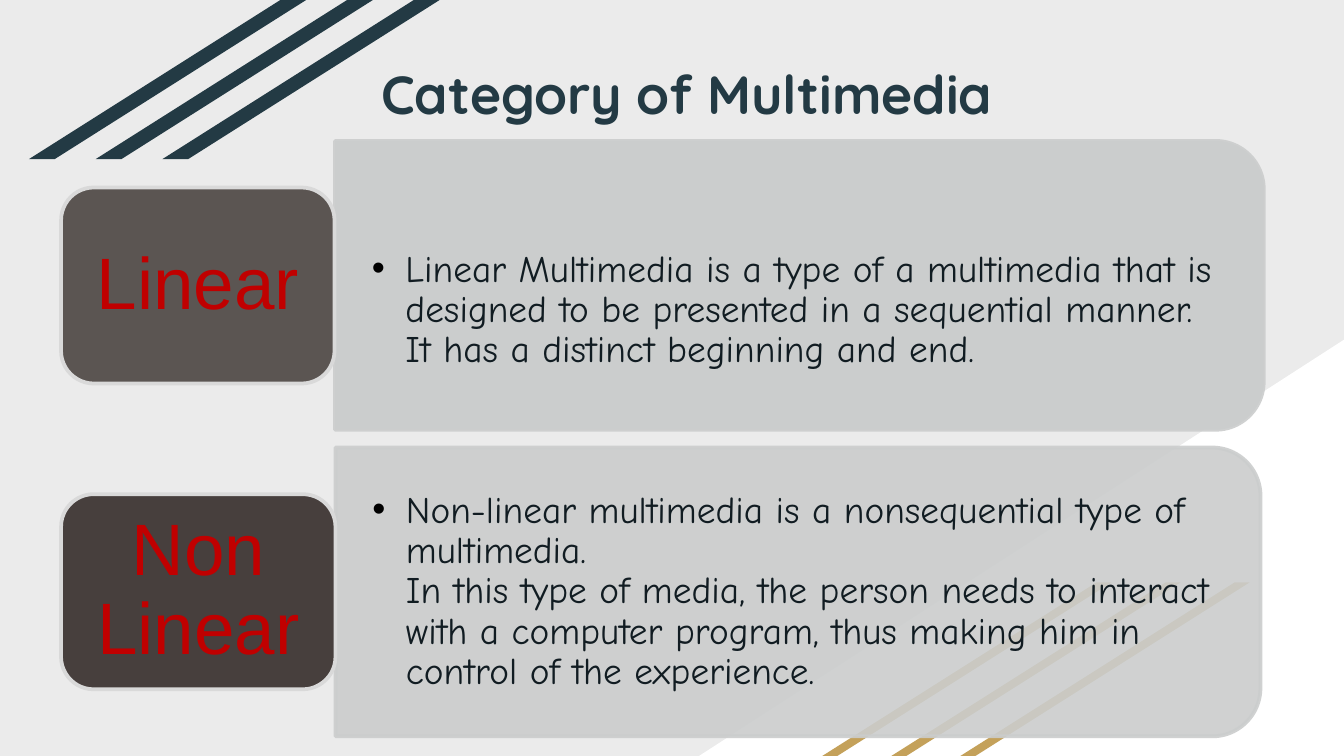
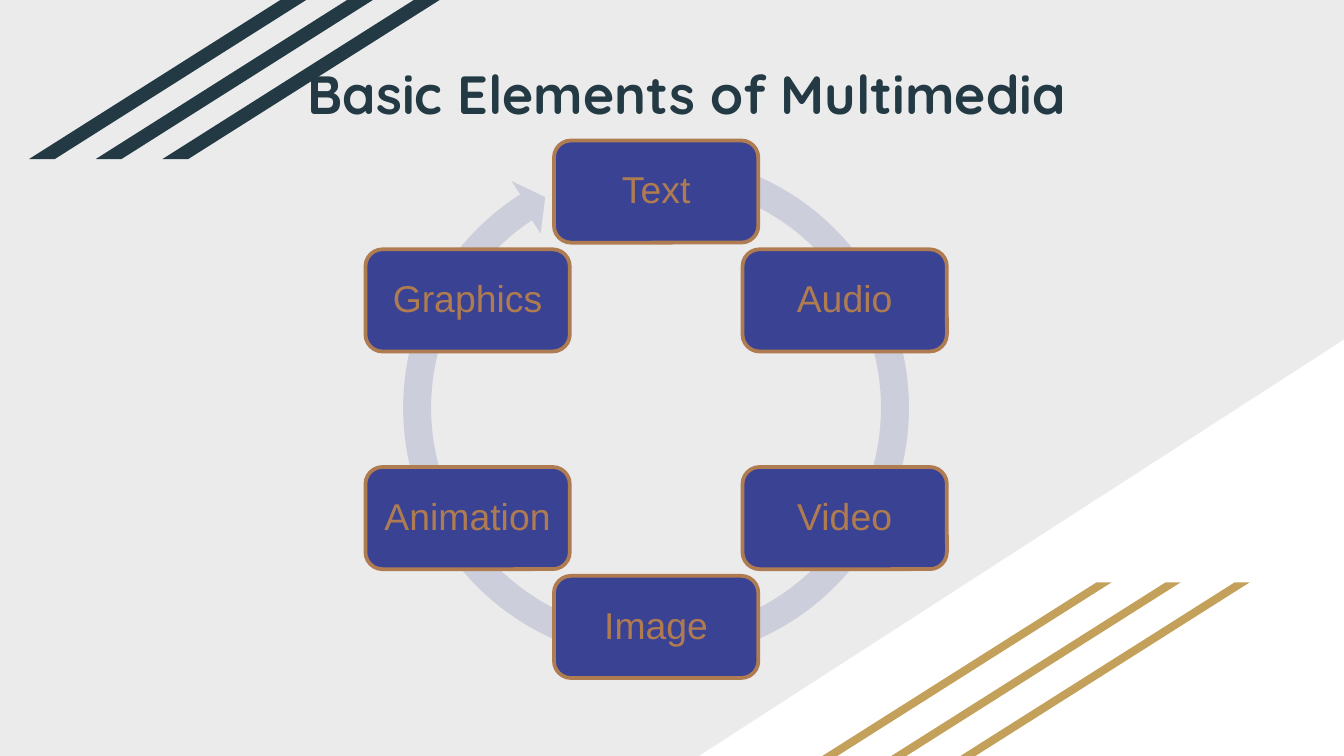
"""Build two slides on the categories and basic elements of multimedia."""
import math

import pptx
import pptx.dml.color
import pptx.enum.shapes
import pptx.enum.text
import pptx.oxml.ns
import pptx.util
from lxml import etree

Pt = pptx.util.Pt
RGB = pptx.dml.color.RGBColor
SHAPE = pptx.enum.shapes.MSO_SHAPE
CENTER = pptx.enum.text.PP_ALIGN.CENTER
MIDDLE = pptx.enum.text.MSO_ANCHOR.MIDDLE
qn = pptx.oxml.ns.qn

BACKGROUND = RGB(0xEB, 0xEB, 0xEB)
WHITE = RGB(0xFF, 0xFF, 0xFF)
GOLD = RGB(0xC4, 0xA1, 0x5A)
NAVY = RGB(0x23, 0x3A, 0x44)
PANEL = RGB(0xCB, 0xCD, 0xCD)
PANEL_TEXT = RGB(0x11, 0x1C, 0x22)
LABEL_LINE = RGB(0xD9, 0xD9, 0xD9)
LABEL_TEXT = RGB(0xC0, 0x00, 0x00)
LINEAR_FILL = RGB(0x42, 0x3B, 0x38)
NON_LINEAR_FILL = RGB(0x44, 0x3C, 0x3A)
RING = RGB(0xCD, 0xCE, 0xDB)
NODE = RGB(0x3A, 0x42, 0x94)
COPPER = RGB(0xAF, 0x7B, 0x51)

CATEGORIES = [
    ("Linear", (32.75, 100.5, 146.5, 105), LINEAR_FILL, 85,
     (179.5, 75.5, 497.5, 154.75), 100, 27,
     ["Linear Multimedia is a type of a multimedia that is designed to be "
      "presented in a sequential manner. It has a distinct beginning and end."]),
    ("Non Linear", (32.75, 264.75, 147, 104.5), NON_LINEAR_FILL, 98,
     (179.75, 239.75, 495.5, 154.75), 90, 0,
     ["Non-linear multimedia is a nonsequential type of multimedia.",
      "In this type of media, the person needs to interact with a computer "
      "program, thus making him in control of the experience."]),
]
ELEMENTS = ["Text", "Audio", "Video", "Image", "Animation", "Graphics"]


def set_alpha(shape, query, percent):
    """Make the colour found by the query partly transparent."""
    for color in shape._element.spPr.xpath(query):
        etree.SubElement(color, qn("a:alpha")).set("val", str(percent * 1000))


def paint(shape, fill, line=None, alpha=100):
    """Give a shape its flat fill and its outline."""
    shape.shadow.inherit = False
    shape.fill.solid()
    shape.fill.fore_color.rgb = fill
    if alpha < 100:
        set_alpha(shape, "./a:solidFill/a:srgbClr", alpha)
    if line is None:
        shape.line.fill.background()
    else:
        shape.line.color.rgb = line
        shape.line.width = Pt(2)


def add_block(slide, kind, box, fill, line=None, alpha=100, adjust=()):
    """Add a painted preset shape in the given box."""
    shape = slide.shapes.add_shape(kind, *map(Pt, box))
    for index, value in enumerate(adjust):
        shape.adjustments[index] = value
    paint(shape, fill, line, alpha)
    return shape


def set_frame(shape, left, top, right, bottom):
    """Wrap and centre the text of a shape between its margins."""
    frame = shape.text_frame
    frame.word_wrap = True
    frame.vertical_anchor = MIDDLE
    frame.margin_left, frame.margin_top = Pt(left), Pt(top)
    frame.margin_right, frame.margin_bottom = Pt(right), Pt(bottom)
    return frame.paragraphs[0]


def add_span(para, text, font, size, color, bold=False):
    """Add one run of text to a paragraph."""
    span = para.add_run()
    span.text = text
    span.font.name = font
    span.font.size = Pt(size)
    span.font.color.rgb = color
    span.font.bold = bold


def add_caption(shape, text, size, color, across, down):
    """Write a centred caption inside a shape."""
    para = set_frame(shape, across, down, across, down)
    para.alignment = CENTER
    para.line_spacing = 0.9
    add_span(para, text, "Arial", size, color)


def add_bullet(para):
    """Give a paragraph a hanging black bullet."""
    props = para._p.get_or_add_pPr()
    props.set("marL", str(Pt(18)))
    props.set("indent", str(-Pt(18)))
    color = etree.SubElement(props, qn("a:buClr"))
    etree.SubElement(color, qn("a:srgbClr")).set("val", "000000")
    etree.SubElement(props, qn("a:buFont")).set("typeface", "Arial")
    etree.SubElement(props, qn("a:buChar")).set("char", "•")


def add_stripes(slide, box, step, color):
    """Add three slanted stripes, the last in the given box."""
    left, top, width, height = box
    for index in (2, 1, 0):
        add_block(slide, SHAPE.PARALLELOGRAM,
                  (left + index * step, top, width, height), color, adjust=[1.58])


def add_base(deck, title):
    """Add a slide with the shared background, stripes and title."""
    slide = deck.slides.add_slide(deck.slide_layouts[6])
    slide.background.fill.solid()
    slide.background.fill.fore_color.rgb = BACKGROUND
    corner = add_block(slide, SHAPE.RIGHT_TRIANGLE, (374.5, 182, 345.5, 223), WHITE)
    corner._element.spPr.xfrm.set("flipH", "1")
    add_stripes(slide, (440.5, 312, 155, 93), 37, GOLD)
    add_stripes(slide, (15.5, 0, 148.5, 85.25), 35.75, NAVY)
    box = slide.shapes.add_textbox(Pt(156.25), Pt(24.25), Pt(423.5), Pt(51.25))
    para = set_frame(box, 7.2, 7.2, 7.2, 7.2)
    para.alignment = CENTER
    add_span(para, title, "Quicksand", 28.8, NAVY, bold=True)
    return slide


def add_panel(slide, box, alpha, drop, lines):
    """Add a panel rounded on the right with one bulleted text."""
    left, top, width, height = box
    middle_x, middle_y = left + width / 2, top + height / 2
    panel = add_block(slide, SHAPE.ROUND_2_SAME_RECTANGLE,
                      (middle_x - height / 2, middle_y - width / 2, height, width),
                      PANEL, PANEL, alpha, [0.167, 0])
    panel.rotation = 90
    set_alpha(panel, "./a:ln/a:solidFill/a:srgbClr", 90)
    body = slide.shapes.add_textbox(Pt(left), Pt(top + 7.5),
                                    Pt(width - 7.5), Pt(height - 15))
    para = set_frame(body, 19.75, 10 + drop, 19.25, 10)
    para.line_spacing = 0.9
    add_bullet(para)
    for index, line in enumerate(lines):
        if index:
            para.add_line_break()
        add_span(para, line, "Comic Neue", 20, PANEL_TEXT)


def add_category_slide(deck):
    """Add the slide of labelled category panels."""
    slide = add_base(deck, "Category of Multimedia")
    for name, label_box, fill, alpha, panel_box, panel_alpha, drop, lines in CATEGORIES:
        add_panel(slide, panel_box, panel_alpha, drop, lines)
        label = add_block(slide, SHAPE.ROUNDED_RECTANGLE, label_box, fill,
                          LABEL_LINE, alpha, [0.167])
        add_caption(label, name, 39, LABEL_TEXT, 12, 6)


def on_circle(center, radius, degrees):
    """Return the point at a clockwise angle from the top of a circle."""
    angle = math.radians(degrees)
    return (center[0] + radius * math.sin(angle),
            center[1] - radius * math.cos(angle))


def arc_curves(center, radius, start, end):
    """Return four cubic curves that follow an arc."""
    step = (end - start) / 4
    reach = 4 / 3 * math.tan(math.radians(step) / 4)
    spread = radius * math.hypot(1, reach)
    turn = math.degrees(math.atan(reach))
    curves = []
    for index in range(4):
        first = start + index * step
        last = first + step
        curves.append(("a:cubicBezTo", [on_circle(center, spread, first + turn),
                                        on_circle(center, spread, last - turn),
                                        on_circle(center, radius, last)]))
    return curves


def add_ring(slide, box):
    """Add the open ring that ends in an arrowhead."""
    left, top, width, height = box
    center = (width / 2, height / 2)
    start, end, tip, notch = 15.25, 327.5, 332.25, 326.5
    head = [(144, end), (127.5, tip), (112, notch), (120.5, notch)]
    steps = [("a:moveTo", [on_circle(center, 135.5, start)])]
    steps += arc_curves(center, 135.5, start, end)
    steps += [("a:lnTo", [on_circle(center, *corner)]) for corner in head]
    steps += arc_curves(center, 120.5, notch, start)
    corners = [points[-1] for kind, points in steps]
    builder = slide.shapes.build_freeform(*corners[0], scale=float(Pt(1)))
    builder.add_line_segments(corners[1:], close=True)
    ring = builder.convert_to_shape()
    ring.left, ring.top, ring.width, ring.height = map(Pt, box)
    outline = ring._element.spPr.xpath(".//a:path")[0]
    for child in list(outline):
        outline.remove(child)
    outline.set("w", str(Pt(width)))
    outline.set("h", str(Pt(height)))
    for kind, points in steps:
        command = etree.SubElement(outline, qn(kind))
        for x, y in points:
            point = etree.SubElement(command, qn("a:pt"))
            point.set("x", str(Pt(x)))
            point.set("y", str(Pt(y)))
    etree.SubElement(outline, qn("a:close"))
    paint(ring, RING)


def add_cycle(slide, box, names):
    """Spread the named nodes evenly on a ring centred in the box."""
    left, top, width, height = box
    center = (left + width / 2, top + height / 2)
    node_width, node_height, ring_size = 109.5, 54.75, 287.5
    add_ring(slide, (center[0] - ring_size / 2, center[1] - ring_size / 2 - 0.75,
                     ring_size, ring_size))
    for index, name in enumerate(names):
        x, y = on_circle(center, (height - node_height) / 2, index * 360 / len(names))
        node = add_block(slide, SHAPE.ROUNDED_RECTANGLE,
                         (x - node_width / 2, y - node_height / 2,
                          node_width, node_height),
                         NODE, COPPER, adjust=[0.167])
        add_caption(node, name, 20, COPPER, 4, 4)


def add_elements_slide(deck):
    """Add the slide of the cycle of elements."""
    slide = add_base(deck, "Basic Elements of Multimedia")
    add_cycle(slide, (196, 75.25, 311, 288), ELEMENTS)


def main():
    """Build and save the deck."""
    deck = pptx.Presentation()
    deck.slide_width, deck.slide_height = Pt(720), Pt(405)
    add_category_slide(deck)
    add_elements_slide(deck)
    deck.save("out.pptx")


if __name__ == "__main__":
    main()
